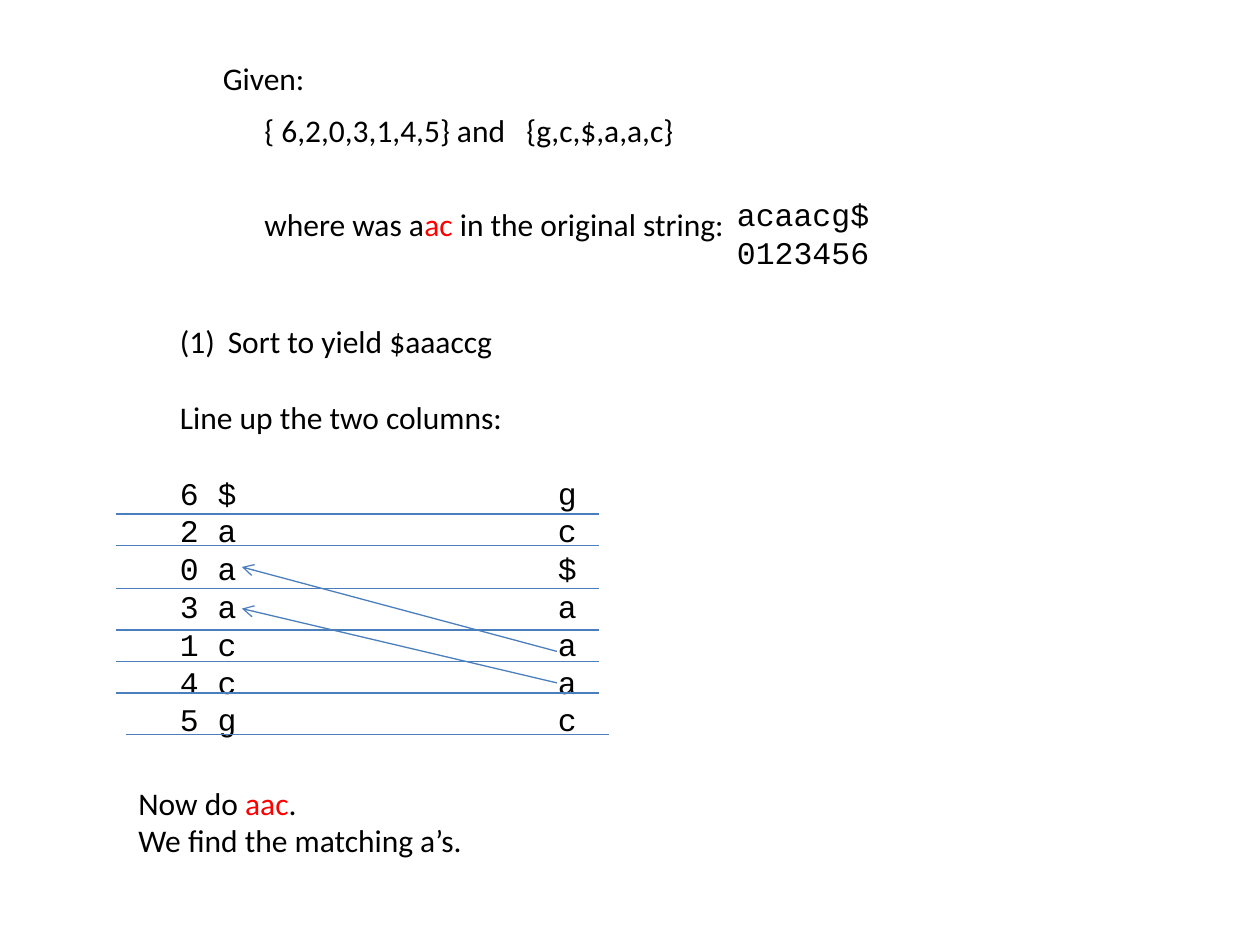
from lxml import etree
from pptx import Presentation
from pptx.dml.color import RGBColor
from pptx.enum.shapes import MSO_CONNECTOR
from pptx.oxml.ns import qn
from pptx.util import Inches, Pt

HUES = {"ink": "000000", "mark": "FF0000", "line": "4B7EBC"}
SANS, MONO = "Calibri", "Courier New"
PITCH = Pt(21.6)


def add_box(slide, x, y, w, h, wrap=False):
    frame = slide.shapes.add_textbox(Inches(x), Inches(y), Inches(w), Inches(h)).text_frame
    frame.word_wrap = wrap
    return frame


def add_para(frame, *parts, font=SANS, first=False):
    """Add a paragraph of runs; every second run is marked."""
    para = frame.paragraphs[0] if first else frame.add_paragraph()
    for i, part in enumerate(parts):
        run = para.add_run()
        run.text = part
        run.font.name, run.font.size = font, Pt(18)
        hue = HUES["mark" if i % 2 else "ink"]
        run.font.color.rgb = RGBColor.from_string(hue)
    return para


def indent(para, left, hang=0):
    props = para._p.get_or_add_pPr()
    props.set("marL", str(Inches(left)))
    props.set("indent", str(-Inches(hang)))
    return props


def add_line(slide, start, end, arrow=False):
    line = slide.shapes.add_connector(
        MSO_CONNECTOR.STRAIGHT, *(Inches(v) for v in (*start, *end)))
    line.line.color.rgb = RGBColor.from_string(HUES["line"])
    line.line.width = Pt(0.75)
    props = line._element.spPr
    if arrow:
        etree.SubElement(props.find(qn("a:ln")), qn("a:tailEnd"), type="arrow")
    etree.SubElement(props, qn("a:effectLst"))


def add_given(slide, x, y):
    # Given data and the question
    for dx, dy, w, parts in (
        (0, 0, 1.21, ["Given:"]),
        (0.33, 0.41, 2.25, ["{ 6,2,0,3,1,4,5} and"]),
        (2.41, 0.41, 1.44, ["{g,c,$,a,a,c}"]),
        (0.33, 1.16, 3.89, ["where was a", "ac", " in the original string:"]),
    ):
        add_para(add_box(slide, x + dx, y + dy, w, 0.4), *parts, first=True)

    # Original string with its positions
    frame = add_box(slide, x + 3.08, y + 1.08, 5, 0.71, wrap=True)
    for i, text in enumerate(("acaacg$", "0123456")):
        para = add_para(frame, text, font=MONO, first=i == 0)
        indent(para, 1)
        para.line_spacing = PITCH


def add_sort(slide, x, y):
    # Numbered step
    frame = add_box(slide, x, y, 3.37, 3.44)
    step = add_para(frame, "Sort to yield $aaaccg", first=True)
    props = indent(step, 0.38, 0.38)
    step.line_spacing = PITCH
    etree.SubElement(props, qn("a:buFont"), typeface="+mj-lt")
    etree.SubElement(props, qn("a:buAutoNum"), type="arabicParenBoth")
    note = add_para(frame, "Line up the two columns:")
    note.line_spacing = note.space_before = PITCH

    # Sorted column beside the given column
    for i, (rank, left, right) in enumerate(zip("6203145", "$aaaccg", "gc$aaac")):
        row = add_para(frame, f"{rank} {left}\t{right}", font=MONO)
        row.line_spacing = PITCH
        if i == 0:
            row.space_before = PITCH
        tabs = etree.SubElement(row._p.get_or_add_pPr(), qn("a:tabLst"))
        etree.SubElement(tabs, qn("a:tab"), pos=str(Inches(3)), algn="l")

    # Row rules, the last one set slightly to the right
    drops = (1.57, 1.82, 2.16, 2.49, 2.74, 2.99, 3.32)
    for drop in drops:
        left = x - (0.33 if drop == drops[-1] else 0.41)
        add_line(slide, (left, y + drop), (left + 3.83, y + drop))

    # Arrows between matching letters
    for low, high in ((2.66, 1.99), (2.91, 2.32)):
        add_line(slide, (x + 3.09, y + low), (x + 0.59, y + high), arrow=True)


def add_close(slide, x, y):
    # Closing remark
    frame = add_box(slide, x, y, 2.92, 0.71)
    add_para(frame, "Now do ", "aac", ".", first=True)
    add_para(frame, "We find the matching a’s.")


def main():
    deck = Presentation()
    deck.slide_width, deck.slide_height = Inches(10), Inches(7.5)
    slide = deck.slides.add_slide(deck.slide_layouts[6])
    add_given(slide, 1.67, 0.42)
    add_sort(slide, 1.33, 2.51)
    add_close(slide, 1, 6.17)
    deck.save("out.pptx")


if __name__ == "__main__":
    main()
